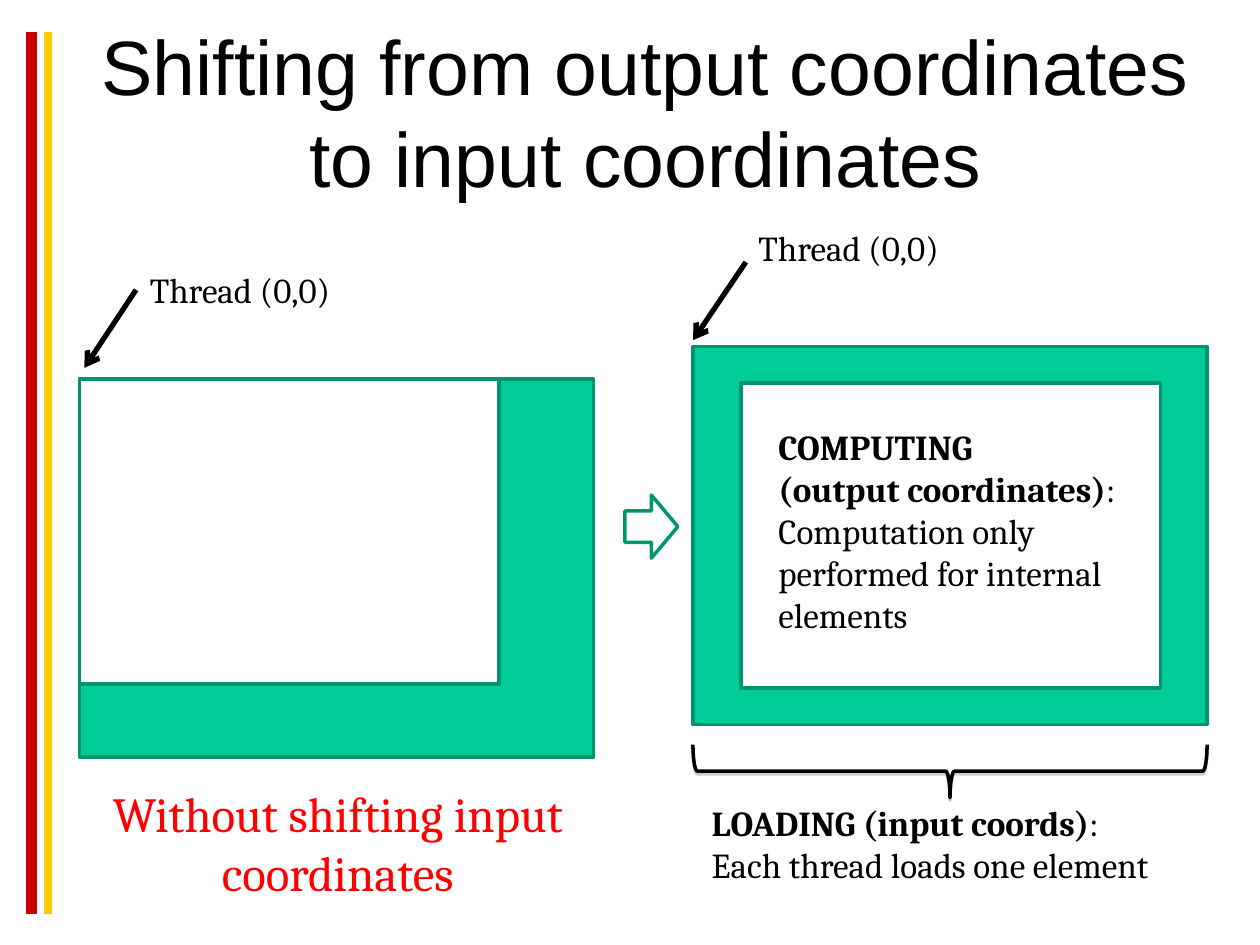
from lxml.etree import SubElement
from pptx import Presentation
from pptx.dml.color import RGBColor
from pptx.enum.shapes import MSO_CONNECTOR, MSO_SHAPE as SHAPE
from pptx.enum.text import MSO_ANCHOR, MSO_AUTO_SIZE as FIT, PP_ALIGN as ALIGN
from pptx.oxml import parse_xml
from pptx.oxml.ns import nsdecls, qn
from pptx.util import Pt

PX = 9144
COLORS = {
    "black": "000000", "white": "FFFFFF", "red": "CC0000", "gold": "FFCC00",
    "green": "00CC99", "edge": "00956F", "warning": "FF0000",
}


def px(*values):
    return [v * PX for v in values]


def rgb(name):
    return RGBColor.from_string(COLORS[name])


def add_text(p, text, size=20, font="Cambria", color="black", bold=False):
    for i, line in enumerate(text.split("\n")):
        if i:
            p.add_line_break()
        if line:
            r = p.add_run()
            r.text = line
            r.font.size = Pt(size)
            r.font.name = font
            r.font.bold = bold
            r.font.color.rgb = rgb(color)


class Slide:
    def __init__(self, prs):
        self.s = prs.slides.add_slide(prs.slide_layouts[5])
        self.s.background.fill.solid()
        self.s.background.fill.fore_color.rgb = rgb("white")

    def title(self, box, text):
        sp = self.s.shapes.title
        sp.left, sp.top, sp.width, sp.height = px(*box)
        tf = sp.text_frame
        tf.word_wrap = True
        tf.auto_size = FIT.NONE
        tf.vertical_anchor = MSO_ANCHOR.MIDDLE
        p = tf.paragraphs[0]
        p.alignment = ALIGN.CENTER
        add_text(p, text, size=44, font="Arial")

    def line(self, start, end, color, width, arrow=False):
        c = self.s.shapes.add_connector(MSO_CONNECTOR.STRAIGHT, *px(*start, *end))
        c.line.color.rgb = rgb(color)
        c.line.width = Pt(width)
        if arrow:
            SubElement(c.line._get_or_add_ln(), qn("a:tailEnd"), type="arrow")
        SubElement(c._element.spPr, qn("a:effectLst"))

    def shape(self, kind, box, fill=None, line="edge"):
        sp = self.s.shapes.add_shape(kind, *px(*box))
        sp.shadow.inherit = False
        if fill:
            sp.fill.solid()
            sp.fill.fore_color.rgb = rgb(fill)
        else:
            sp.fill.background()
        sp.line.color.rgb = rgb(line)
        sp.line.width = Pt(2)
        return sp

    def brace(self, box):
        sp = self.shape(SHAPE.LEFT_BRACE, box, line="black")
        sp.rotation = 270
        effects = sp._element.spPr.find(qn("a:effectLst"))
        effects.append(parse_xml(
            f'<a:outerShdw {nsdecls("a")} dist="20320" dir="5400000" rotWithShape="0">'
            '<a:srgbClr val="808080"><a:alpha val="38000"/></a:srgbClr></a:outerShdw>'))

    def text(self, box, *parts, wrap=True, align=ALIGN.LEFT):
        tf = self.s.shapes.add_textbox(*px(*box)).text_frame
        tf.word_wrap = wrap
        tf.auto_size = FIT.SHAPE_TO_FIT_TEXT
        p = tf.paragraphs[0]
        p.alignment = align
        for text, style in parts:
            add_text(p, text, **style)

    def grid(self, left, top, inner_left, inner_top):
        self.shape(SHAPE.RECTANGLE, (left, top, 408, 300), "green")
        self.shape(SHAPE.RECTANGLE, (inner_left, inner_top, 333, 242), "white")

    def thread(self, label, start, end):
        self.text((*label, 169, 44), ("Thread (0,0)", {}), wrap=False)
        self.line(start, end, "black", 3, arrow=True)


def main():
    prs = Presentation()
    prs.slide_width, prs.slide_height = px(1000, 750)
    slide = Slide(prs)
    bold = {"bold": True}

    slide.line((25, 25), (25, 725), "red", 6)
    slide.line((38, 25), (38, 725), "gold", 4.5)
    slide.title((50, 42, 925, 92),
                "Shifting from output coordinates to input coordinates")

    slide.grid(63, 301, 63, 301)
    slide.grid(550, 275, 588, 304)
    slide.shape(SHAPE.RIGHT_ARROW, (496, 393, 42, 50))

    slide.text((555, 631, 396, 77), ("LOADING (input coords)", bold),
               (":\nEach thread loads one element", {}), wrap=False)
    slide.text((608, 333, 308, 177), ("COMPUTING \n(output coordinates)", bold),
               (":\nComputation only performed for internal elements", {}))

    slide.thread((592, 175), (592, 208), (550, 270))
    slide.thread((109, 208), (108, 230), (67, 292))
    slide.text((72, 617, 392, 104),
               ("Without shifting input coordinates", {"size": 28, "color": "warning"}),
               align=ALIGN.CENTER)
    slide.brace((733, 408, 42, 408))

    prs.save("out.pptx")


if __name__ == "__main__":
    main()
